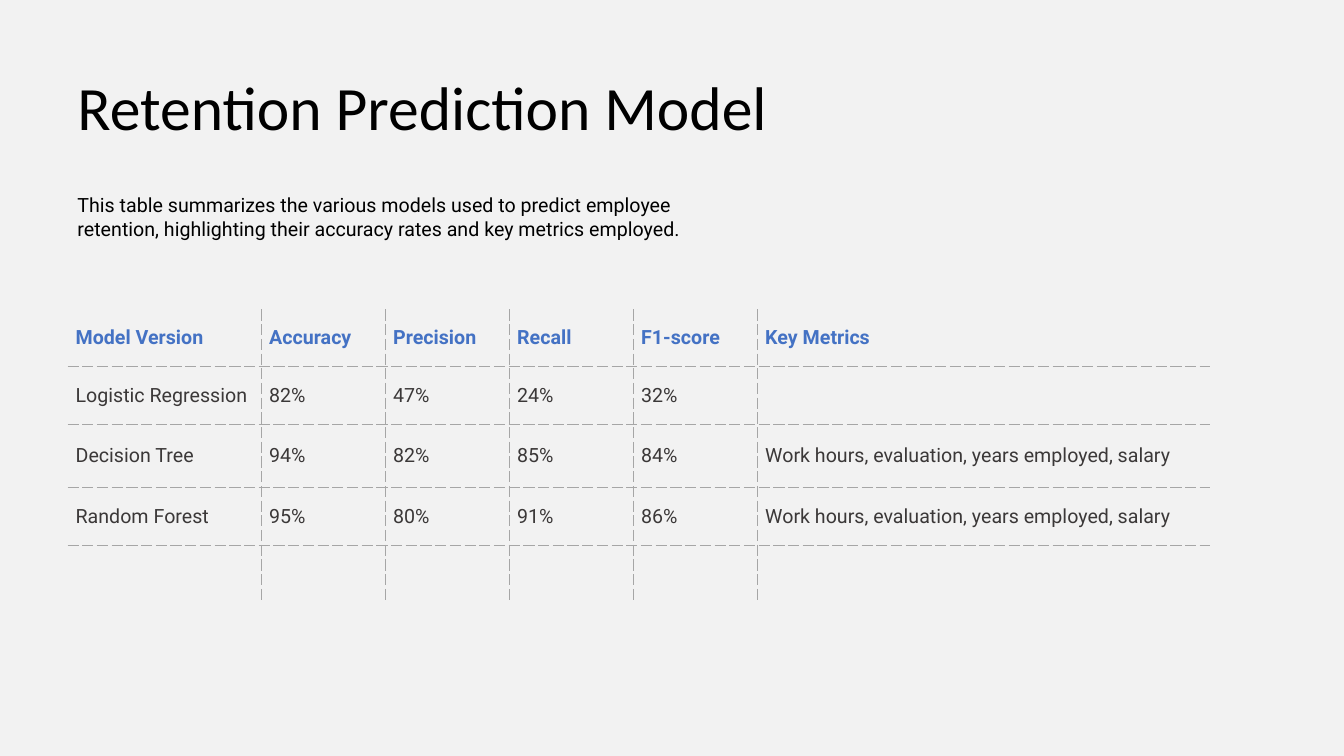
import pptx
import pptx.util
import pptx.dml.color
import pptx.enum.text
import pptx.oxml
import lxml.etree

Inches = pptx.util.Inches
Pt = pptx.util.Pt
MIDDLE = pptx.enum.text.MSO_ANCHOR.MIDDLE
NS = "http://schemas.openxmlformats.org/drawingml/2006/main"


def rgb(value):
    return pptx.dml.color.RGBColor.from_string(value)


def write(tf, text, color, **font):
    r = tf.paragraphs[0].add_run()
    r.text = text
    r.font.color.rgb = rgb(color)
    for name, value in font.items():
        setattr(r.font, name, value)


prs = pptx.Presentation()
prs.slide_width, prs.slide_height = Inches(13.33), Inches(7.5)
s = prs.slides.add_slide(prs.slide_layouts[6])
s.background.fill.solid()
s.background.fill.fore_color.rgb = rgb("F2F2F2")

body = {"name": "Roboto", "size": Pt(14)}
intro = ("This table summarizes the various models used to predict employee retention, "
         "highlighting their accuracy rates and key metrics employed.")
metrics = "Work hours, evaluation, years employed, salary"
rows = [
    ["Model Version", "Accuracy", "Precision", "Recall", "F1-score", "Key Metrics"],
    ["Logistic Regression", "82%", "47%", "24%", "32%", ""],
    ["Decision Tree", "94%", "82%", "85%", "84%", metrics],
    ["Random Forest", "95%", "80%", "91%", "86%", metrics],
    [""] * 6,
]
widths = [1.92] + [1.23] * 4 + [4.49]
heights = [0.57, 0.57, 0.63, 0.57, 0.57]
cell_format = {"vertical_anchor": MIDDLE}
cell_format.update({f"margin_{side}": Inches(0.08) for side in ("left", "top", "right", "bottom")})

table = s.shapes.add_table(len(rows), len(widths), Inches(0.67), Inches(3.07),
                           Inches(sum(widths)), Inches(sum(heights))).table
table.first_row = table.horz_banding = False
for col, width in zip(table.columns, widths):
    col.width = Inches(width)
for row, height in zip(table.rows, heights):
    row.height = Inches(height)

for i, row in enumerate(rows):
    for j, text in enumerate(row):
        cell = table.cell(i, j)
        for name, value in cell_format.items():
            setattr(cell, name, value)
        if text:
            write(cell.text_frame, text, "3B3838" if i else "4472C4", bold=i == 0, **body)
        else:
            cell.text_frame.paragraphs[0].font.size = body["size"]
        inner = {"lnL": j > 0, "lnR": j < len(widths) - 1, "lnT": i > 0, "lnB": i < len(rows) - 1}
        tcPr = cell._tc.get_or_add_tcPr()
        for tag, shown in inner.items():
            ln = lxml.etree.SubElement(tcPr, f"{{{NS}}}{tag}", w=str(Pt(1)))
            if shown:
                fill = lxml.etree.SubElement(ln, f"{{{NS}}}solidFill")
                lxml.etree.SubElement(fill, f"{{{NS}}}srgbClr", val="A6A6A6")
                lxml.etree.SubElement(ln, f"{{{NS}}}prstDash", val="sysDash")
            else:
                lxml.etree.SubElement(ln, f"{{{NS}}}noFill")
        cell.fill.background()

for text, top, width, height, font in [
    ("Retention Prediction Model", 0.39, 12, 1.33, {"name": "Calibri", "size": Pt(44)}),
    (intro, 1.72, 6.6, 0.86, body),
]:
    tf = s.shapes.add_textbox(Inches(0.67), Inches(top), Inches(width), Inches(height)).text_frame
    tf.word_wrap = True
    tf.vertical_anchor = MIDDLE
    write(tf, text, "000000", **font)

prs.save("out.pptx")
